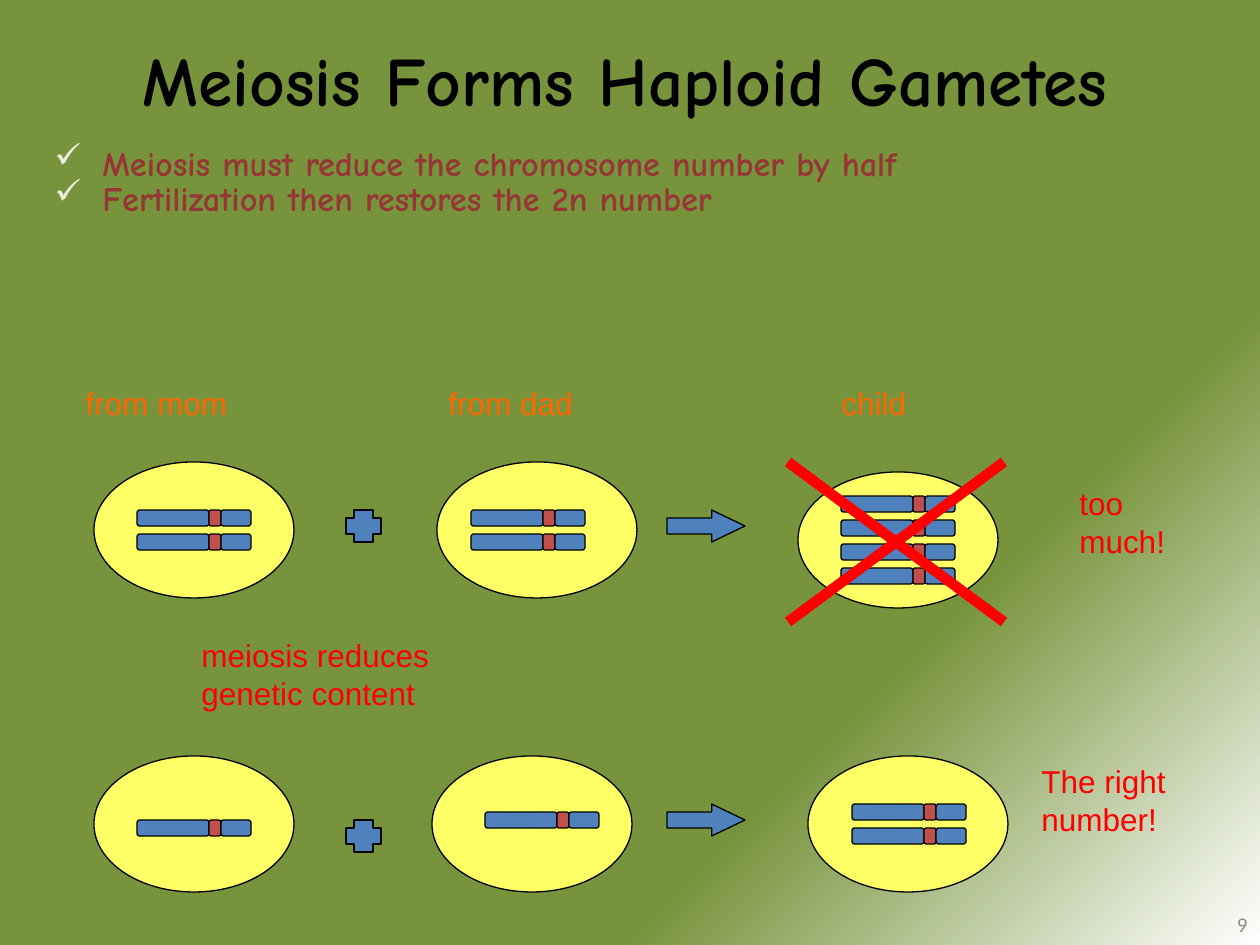
from typing import NamedTuple

from lxml.etree import SubElement
from pptx import Presentation
from pptx.dml.color import RGBColor
from pptx.enum.shapes import MSO_CONNECTOR, MSO_SHAPE
from pptx.enum.text import MSO_ANCHOR, MSO_AUTO_SIZE, PP_ALIGN
from pptx.oxml import parse_xml
from pptx.oxml.ns import nsdecls, qn
from pptx.util import Emu, Pt

BLACK, BLUE, BRICK, YELLOW = "000000", "4F81BD", "C0504D", "FFFF66"
RED, ORANGE, MAROON = "FF0000", "FF6600", "953735"
STEP = 24  # from one chromosome to the next


class Cell(NamedTuple):
    x: int
    y: int
    left: int  # of its chromosomes
    top: int
    count: int


class Label(NamedTuple):
    lines: list[str]
    box: tuple[int, int, int, int]
    color: str
    wrap: bool = False


CELLS = [
    Cell(94, 462, 137, 510, 2),
    Cell(437, 462, 471, 510, 2),
    Cell(798, 472, 841, 496, 4),
    Cell(94, 756, 137, 820, 1),
    Cell(432, 756, 485, 812, 1),
    Cell(808, 756, 852, 804, 2),
]
LABELS = [
    Label(["from mom"], (73, 378, 169, 50), ORANGE),
    Label(["from dad"], (436, 378, 151, 50), ORANGE),
    Label(["child"], (829, 378, 91, 50), ORANGE),
    Label(["meiosis reduces", "genetic content"], (189, 630, 256, 89), RED),
    Label(["too", "much!"], (1067, 478, 151, 113), RED),
    Label(["The right number!"], (1029, 756, 231, 113), RED, True),
]


def px(n: int) -> Emu:
    return Emu(round(n * 914400 / 126))


def rgb(code: str) -> RGBColor:
    return RGBColor.from_string(code)


def write(frame, lines: list[str], *, size: float = 18, font: str = "Arial",
          color: str = BLACK, bold: bool = False, align=PP_ALIGN.LEFT,
          anchor=MSO_ANCHOR.TOP, wrap: bool = True, grow: bool = False,
          bullet: str = "") -> None:
    frame.word_wrap = wrap
    frame.auto_size = MSO_AUTO_SIZE.SHAPE_TO_FIT_TEXT if grow else MSO_AUTO_SIZE.NONE
    frame.vertical_anchor = anchor
    for i, line in enumerate(lines):
        para = frame.add_paragraph() if i else frame.paragraphs[0]
        para.alignment = align
        if bullet:
            para.line_spacing = 0.7
            para.space_before = Pt(4 if i else 0)
            mark(para, bullet)
        run = para.add_run()
        run.text = line
        run.font.size, run.font.name, run.font.bold = Pt(size), font, bold
        run.font.color.rgb = rgb(color)


def mark(para, char: str) -> None:
    """Hang a pale bullet in front of the paragraph."""
    props = para._p.get_or_add_pPr()
    props.set("marL", str(px(48)))
    props.set("indent", str(-px(48)))
    tint = SubElement(props, qn("a:buClr"))
    SubElement(tint, qn("a:srgbClr"), val="EEECE1")
    SubElement(props, qn("a:buChar"), char=char)


def text(slide, box: tuple[int, int, int, int], lines: list[str], **style) -> None:
    frame = slide.shapes.add_textbox(*map(px, box)).text_frame
    write(frame, lines, **style)


def shape(slide, kind, box: tuple[int, int, int, int], fill: str, *adjust: float) -> None:
    item = slide.shapes.add_shape(kind, *map(px, box))
    item.shadow.inherit = False
    item.fill.solid()
    item.fill.fore_color.rgb = rgb(fill)
    item.line.color.rgb = rgb(BLACK)
    item.line.width = Pt(0.75)
    for i, value in enumerate(adjust):
        item.adjustments[i] = value


def draw(slide, cell: Cell) -> None:
    shape(slide, MSO_SHAPE.OVAL, (cell.x, cell.y, 200, 136), YELLOW)
    for i in range(cell.count):
        x, y = cell.left, cell.top + i * STEP
        for width, fill in ((72, BLUE), (12, BRICK), (30, BLUE)):
            shape(slide, MSO_SHAPE.ROUNDED_RECTANGLE, (x, y, width, 16), fill, 0.17)
            x += width


def stroke(slide, x1: int, y1: int, x2: int, y2: int) -> None:
    line = slide.shapes.add_connector(MSO_CONNECTOR.STRAIGHT, *map(px, (x1, y1, x2, y2)))
    line.line.color.rgb = rgb(RED)
    line.line.width = Pt(6)
    SubElement(line._element.spPr, qn("a:effectLst"))


def shade(slide) -> None:
    """Green background that fades to white at the bottom right."""
    slide.element.cSld.insert(0, parse_xml(
        f'<p:bg {nsdecls("p", "a")}><p:bgPr><a:gradFill rotWithShape="1"><a:gsLst>'
        '<a:gs pos="0"><a:srgbClr val="77933C"/></a:gs>'
        '<a:gs pos="71000"><a:srgbClr val="77933C"/></a:gs>'
        '<a:gs pos="100000"><a:srgbClr val="FFFFFF"/></a:gs></a:gsLst>'
        '<a:path path="circle"><a:fillToRect r="100000" b="100000"/></a:path>'
        '</a:gradFill><a:effectLst/></p:bgPr></p:bg>'))


def main() -> None:
    deck = Presentation()
    deck.slide_width, deck.slide_height = px(1260), px(945)
    slide = deck.slides.add_slide(deck.slide_layouts[5])
    shade(slide)

    title = slide.shapes.title
    title.left, title.top, title.width, title.height = map(px, (0, 32, 1250, 94))
    write(title.text_frame, ["Meiosis Forms Haploid Gametes"], size=39.6,
          font="Comic Neue", bold=True, align=PP_ALIGN.CENTER, anchor=MSO_ANCHOR.MIDDLE)
    text(slide, (42, 147, 1218, 84),
         ["Meiosis must reduce the chromosome number by half",
          "Fertilization then restores the 2n number"],
         size=19.6, font="Comic Neue", color=MAROON, bold=True, bullet="✓")

    for cell in CELLS:
        draw(slide, cell)
    for plus, arrow in ((510, 510), (820, 804)):
        shape(slide, MSO_SHAPE.CROSS, (346, plus, 35, 32), BLUE, 0.25)
        shape(slide, MSO_SHAPE.RIGHT_ARROW, (667, arrow, 78, 32), BLUE, 0.5, 1.04)
    stroke(slide, 788, 462, 1004, 622)
    stroke(slide, 1004, 462, 788, 622)

    for label in LABELS:
        text(slide, label.box, label.lines, color=label.color, wrap=label.wrap, grow=True)
    text(slide, (998, 903, 262, 42), ["9"], size=12, font="Calibri", color="8C8C8C",
         align=PP_ALIGN.RIGHT, anchor=MSO_ANCHOR.MIDDLE)
    deck.save("out.pptx")


if __name__ == "__main__":
    main()
